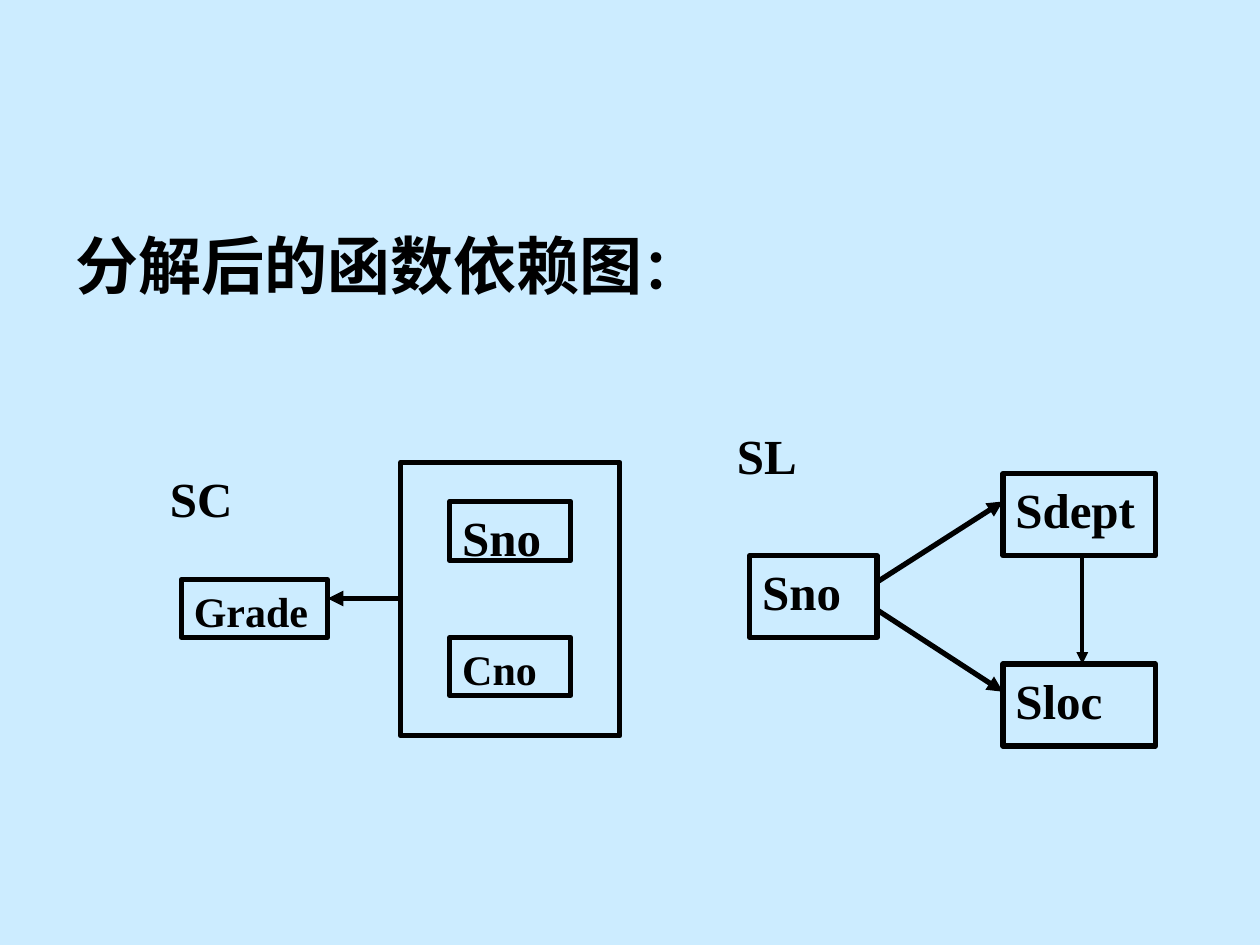
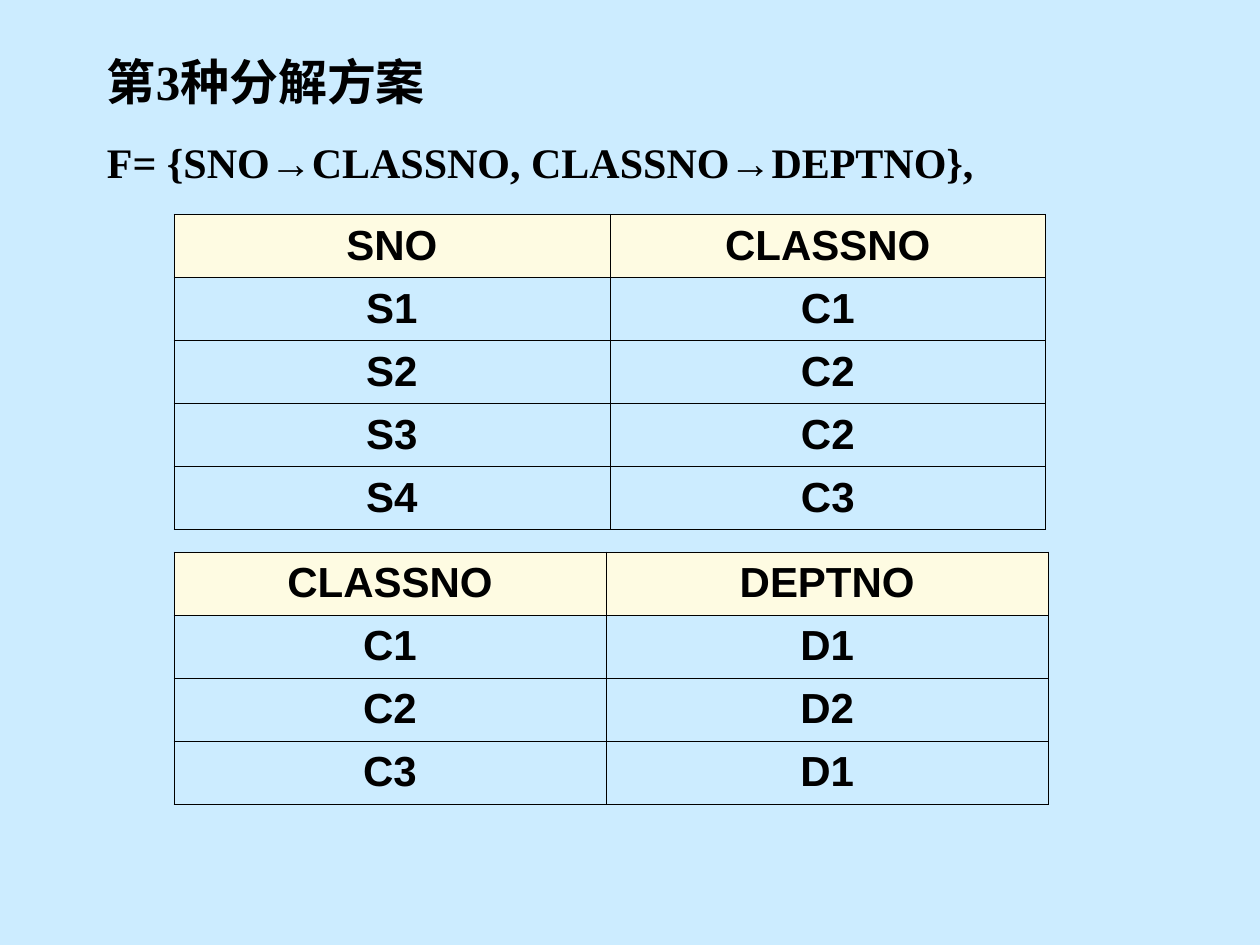
from lxml.etree import SubElement
from pptx import Presentation
from pptx.dml.color import RGBColor
from pptx.enum.shapes import MSO_CONNECTOR as Connector, MSO_SHAPE as Shape
from pptx.enum.text import MSO_ANCHOR as Anchor, PP_ALIGN as Align
from pptx.oxml.ns import qn
from pptx.util import Inches, Pt

COLORS = {"page": "CCECFF", "ink": "000000", "header": "FEFBE2"}
SANS, SERIF = "Arial", "Times New Roman"

DIAGRAM_TITLE = [("分解后的函数依赖图", 36), ("：", 32)]
DIAGRAMS = [
    {
        "label": ("SC", 28, (1.25, 3.67, 0.97, 0.46)),
        "boxes": [
            ("", 24, (3.18, 3.67, 1.74, 2.17)),
            ("Sno", 28, (3.57, 3.98, 0.96, 0.47)),
            ("Cno", 24, (3.57, 5.06, 0.96, 0.46)),
            ("Grade", 24, (1.44, 4.6, 1.16, 0.46)),
        ],
        "arrows": [((3.18, 4.75), (2.6, 4.75), 3)],
    },
    {
        "label": ("SL", 28, (5.75, 3.33, 1.21, 0.65)),
        "boxes": [
            ("Sno", 28, (5.95, 4.41, 1.01, 0.65)),
            ("Sdept", 28, (7.96, 3.76, 1.21, 0.65)),
            ("Sloc", 28, (7.96, 5.27, 1.21, 0.65)),
        ],
        "arrows": [
            ((6.96, 4.62), (7.96, 3.98), 3),
            ((6.96, 4.84), (7.96, 5.49), 3),
            ((8.59, 4.41), (8.59, 5.27), 2.25),
        ],
    },
]

SCHEME_LINES = [("第3种分解方案", 28, 0), ("F= {SNO→CLASSNO, CLASSNO→DEPTNO},", 24, 15)]
TABLE_LEFT, ROW_HEIGHT = 1.38, 0.5
TABLES = [
    {
        "top": 1.7,
        "columns": (3.46, 3.46),
        "rows": [("SNO", "CLASSNO"), ("S1", "C1"), ("S2", "C2"), ("S3", "C2"), ("S4", "C3")],
    },
    {
        "top": 4.38,
        "columns": (3.43, 3.51),
        "rows": [("CLASSNO", "DEPTNO"), ("C1", "D1"), ("C2", "D2"), ("C3", "D1")],
    },
]


def color(name):
    return RGBColor.from_string(COLORS[name])


def inches(values):
    return [Inches(value) for value in values]


def add_page(deck):
    page = deck.slides.add_slide(deck.slide_layouts[6])
    page.background.fill.solid()
    page.background.fill.fore_color.rgb = color("page")
    return page


def add_span(para, text, size, font):
    span = para.add_run()
    span.text = text
    for name, value in {"name": font, "size": Pt(size), "bold": True}.items():
        setattr(span.font, name, value)
    span.font.color.rgb = color("ink")


def add_text_box(shapes, place):
    box = shapes.add_textbox(*inches(place))
    box.text_frame.word_wrap = True
    return box


def write_label(box, text, size):
    box.text_frame.vertical_anchor = Anchor.TOP
    para = box.text_frame.paragraphs[0]
    para.alignment = Align.JUSTIFY
    add_span(para, text, size, SERIF)


def add_node(shapes, text, size, place):
    box = shapes.add_shape(Shape.RECTANGLE, *inches(place))
    box.shadow.inherit = False
    box.fill.background()
    box.line.color.rgb = color("ink")
    box.line.width = Pt(3)
    if text:
        write_label(box, text, size)


def add_arrow(shapes, start, end, width):
    arrow = shapes.add_connector(Connector.STRAIGHT, *inches(start + end))
    arrow.line.color.rgb = color("ink")
    arrow.line.width = Pt(width)
    SubElement(arrow.line._get_or_add_ln(), qn("a:tailEnd"), type="triangle")
    SubElement(arrow._element.spPr, qn("a:effectLst"))


def add_diagram(page, diagram):
    shapes = page.shapes.add_group_shape().shapes
    for node in diagram["boxes"]:
        add_node(shapes, *node)
    for arrow in diagram["arrows"]:
        add_arrow(shapes, *arrow)
    text, size, place = diagram["label"]
    write_label(add_text_box(shapes, place), text, size)


def add_borders(cell):
    properties = cell._tc.get_or_add_tcPr()
    for side in ("lnL", "lnR", "lnT", "lnB"):
        line = SubElement(properties, qn(f"a:{side}"), w=str(Pt(0.34)))
        fill = SubElement(line, qn("a:solidFill"))
        SubElement(fill, qn("a:srgbClr"), val=COLORS["ink"])


def add_relation(page, top, columns, rows):
    place = inches((TABLE_LEFT, top, sum(columns), ROW_HEIGHT * len(rows)))
    table = page.shapes.add_table(len(rows), len(columns), *place).table
    table.first_row = table.horz_banding = False
    for column, width in zip(table.columns, columns):
        column.width = Inches(width)
    for row_index, row in enumerate(rows):
        for column_index, text in enumerate(row):
            cell = table.cell(row_index, column_index)
            add_borders(cell)
            if row_index == 0:
                cell.fill.solid()
                cell.fill.fore_color.rgb = color("header")
            else:
                cell.fill.background()
            cell.vertical_anchor = Anchor.MIDDLE
            para = cell.text_frame.paragraphs[0]
            para.alignment = Align.CENTER
            add_span(para, text, 24, SANS)


def build_diagram_page(deck):
    page = add_page(deck)
    title = add_text_box(page.shapes, (0.5, 1.75, 9, 4.95))
    for text, size in DIAGRAM_TITLE:
        add_span(title.text_frame.paragraphs[0], text, size, SANS)
    for diagram in DIAGRAMS:
        add_diagram(page, diagram)


def build_scheme_page(deck):
    page = add_page(deck)
    for relation in TABLES:
        add_relation(page, **relation)
    frame = add_text_box(page.shapes, (0.75, 0.36, 8.82, 1.18)).text_frame
    for index, (text, size, space) in enumerate(SCHEME_LINES):
        para = frame.add_paragraph() if index else frame.paragraphs[0]
        para.space_before = Pt(space)
        add_span(para, text, size, SERIF)


def main():
    deck = Presentation()
    deck.slide_width, deck.slide_height = inches((10, 7.5))
    build_diagram_page(deck)
    build_scheme_page(deck)
    deck.save("out.pptx")


if __name__ == "__main__":
    main()
